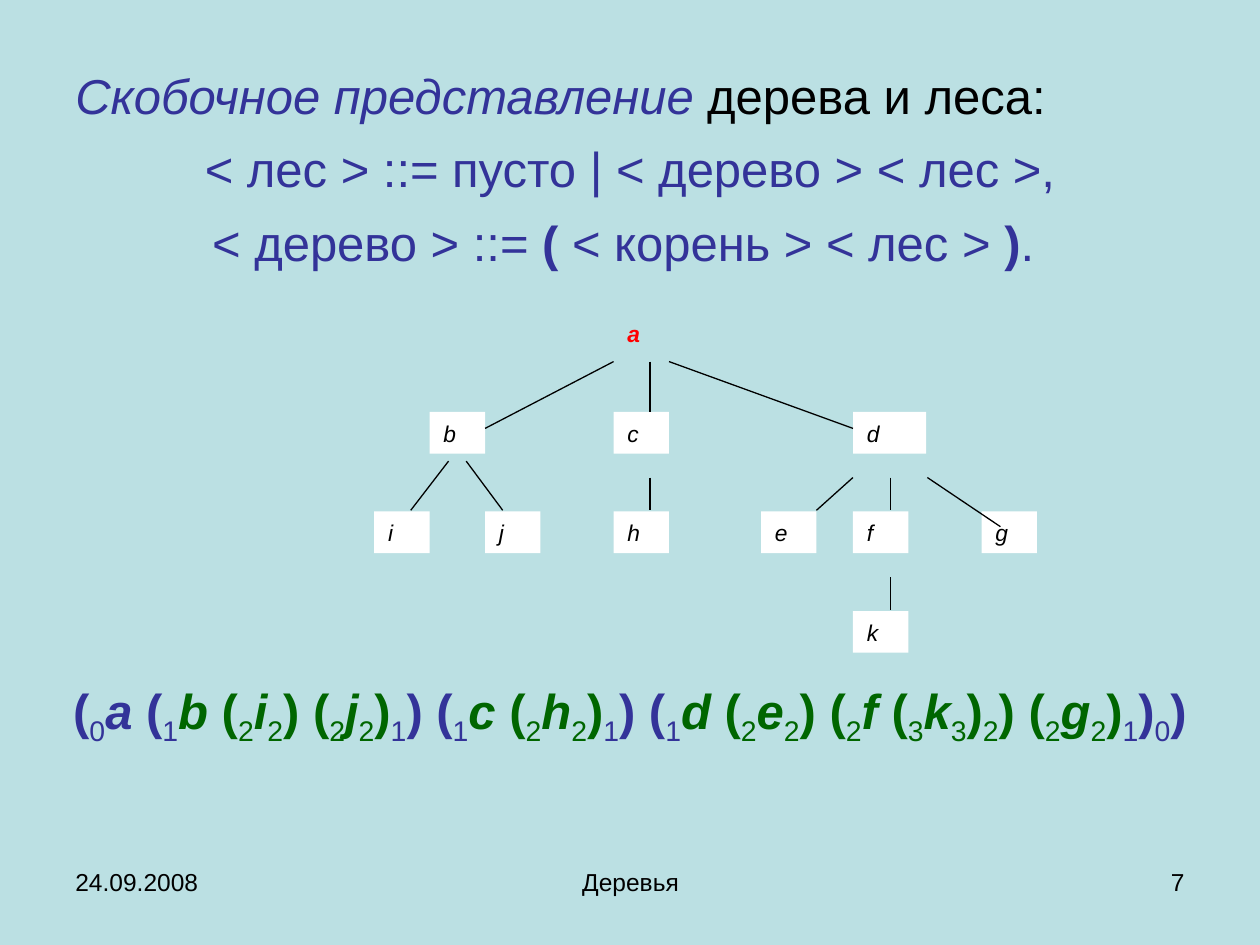
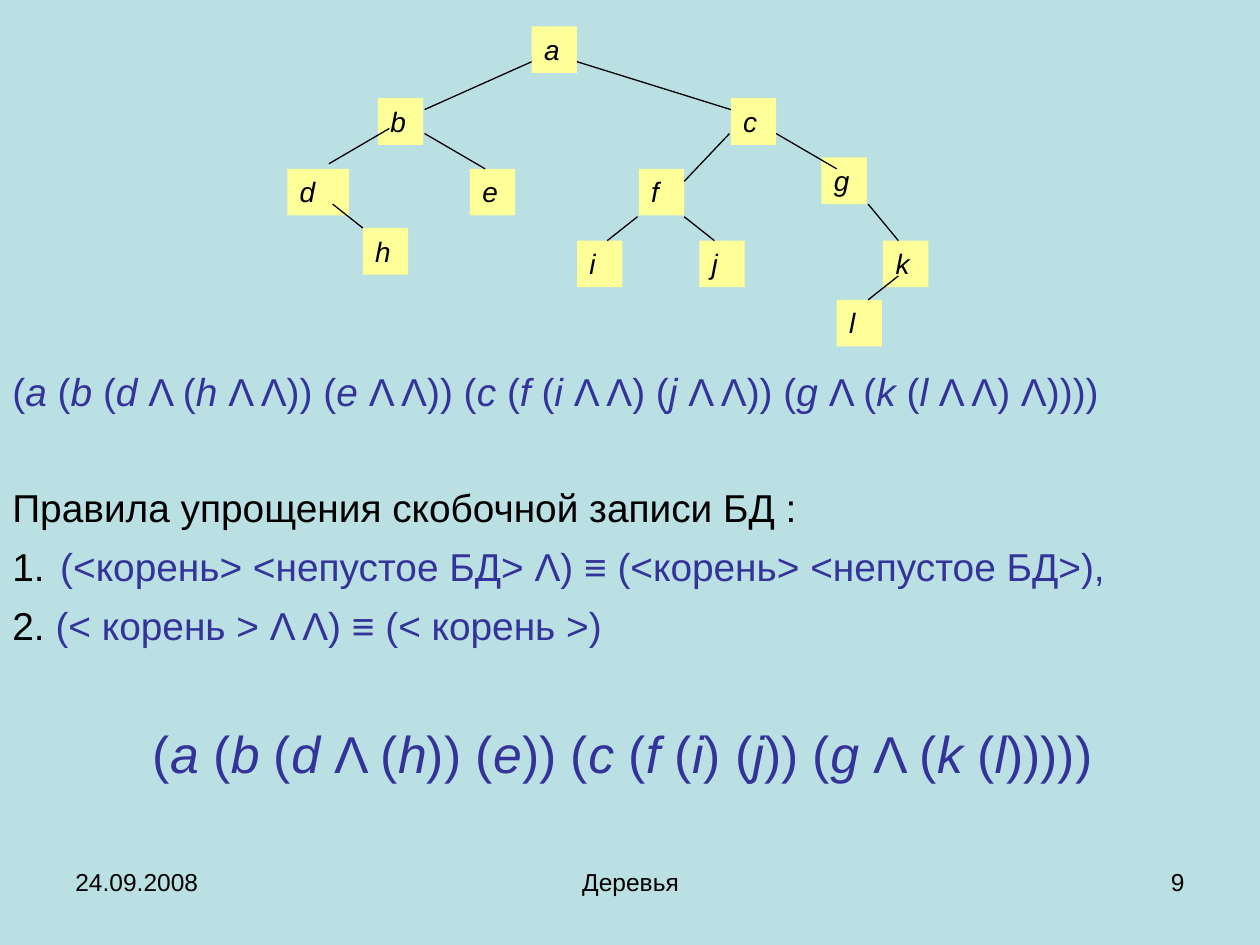
import itertools

import pptx
import pptx.dml.color
import pptx.enum.shapes
import pptx.enum.text
import pptx.oxml.ns
import pptx.util
from lxml import etree

Inches = pptx.util.Inches
Pt = pptx.util.Pt
ALIGN = pptx.enum.text.PP_ALIGN
FONT = "Arial"
COLORS = {
    "back": "BBE0E3",
    "text": "000000",
    "blue": "333399",
    "green": "006600",
    "root": "FF0000",
    "white": "FFFFFF",
    "yellow": "FFFF99",
}


def rgb(name):
    return pptx.dml.color.RGBColor.from_string(COLORS[name])


def add_run(p, text, size=14, color="text", bold=False, italic=False, sub=False):
    r = p.add_run()
    r.text = text
    r.font.name = FONT
    r.font.size = Pt(size)
    r.font.bold = bold
    r.font.italic = italic
    r.font.color.rgb = rgb(color)
    if sub:
        r._r.get_or_add_rPr().set("baseline", "-25000")


def char_kind(ch):
    if ch.isdigit():
        return "sub"
    return "name" if "a" <= ch <= "z" else "sign"


def formula(text, bold=False, **style):
    runs = []
    for kind, chars in itertools.groupby(text, char_kind):
        fmt = dict(italic=kind == "name", sub=kind == "sub", bold=bold and kind != "sub")
        runs.append(("".join(chars), {**style, **fmt}))
    return runs


class Deck:
    def __init__(self):
        self.prs = pptx.Presentation()
        self.prs.slide_width = Inches(10)
        self.prs.slide_height = Inches(7.5)
        self.s = None

    def slide(self, number):
        self.s = self.prs.slides.add_slide(self.prs.slide_layouts[6])
        self.s.background.fill.solid()
        self.s.background.fill.fore_color.rgb = rgb("back")
        footers = [
            (0.5, 2.33, "24.09.2008", ALIGN.LEFT),
            (3.42, 3.17, "Деревья", ALIGN.CENTER),
            (7.17, 2.33, str(number), ALIGN.RIGHT),
        ]
        for x, w, text, align in footers:
            tf = self.box(x, 6.83, w, 0.52)
            self.para(tf, [(text, {})], align=align)

    def box(self, x, y, w, h):
        sp = self.s.shapes.add_textbox(Inches(x), Inches(y), Inches(w), Inches(h))
        sp.text_frame.word_wrap = True
        return sp.text_frame

    def para(self, tf, runs, align=ALIGN.LEFT, before=0, number_indent=0):
        p = tf.paragraphs[0]
        if p.runs:
            p = tf.add_paragraph()
        if number_indent:
            self.number(p, number_indent)
        p.alignment = align
        p.space_before = Pt(before)
        for text, style in runs:
            add_run(p, text, **style)

    def number(self, p, indent):
        qn = pptx.oxml.ns.qn
        pPr = p._p.get_or_add_pPr()
        pPr.set("marL", str(Inches(indent)))
        pPr.set("indent", str(-Inches(indent)))
        clr = etree.SubElement(pPr, qn("a:buClr"))
        etree.SubElement(clr, qn("a:srgbClr")).set("val", COLORS["text"])
        etree.SubElement(pPr, qn("a:buFont")).set("typeface", FONT)
        etree.SubElement(pPr, qn("a:buAutoNum")).set("type", "arabicPeriod")

    def node(self, name, x, y, w, h, fill, pad, **style):
        sp = self.s.shapes.add_shape(
            pptx.enum.shapes.MSO_SHAPE.RECTANGLE, Inches(x), Inches(y), Inches(w), Inches(h))
        sp.shadow.inherit = False
        sp.fill.solid()
        sp.fill.fore_color.rgb = rgb(fill)
        sp.line.fill.background()
        tf = sp.text_frame
        tf.word_wrap = True
        tf.vertical_anchor = pptx.enum.text.MSO_ANCHOR.TOP
        tf.margin_left = tf.margin_right = Inches(pad)
        tf.margin_top = tf.margin_bottom = Inches(pad - 0.05)
        self.para(tf, [(name, dict(italic=True, **style))])

    def edge(self, x1, y1, x2, y2):
        line = self.s.shapes.add_connector(
            pptx.enum.shapes.MSO_CONNECTOR.STRAIGHT,
            Inches(x1), Inches(y1), Inches(x2), Inches(y2))
        line.line.color.rgb = rgb("text")
        line.line.width = Pt(0.75)
        etree.SubElement(line._element.spPr, pptx.oxml.ns.qn("a:effectLst"))


def forest_slide(deck):
    deck.slide(7)
    blue = dict(size=28, color="blue")
    strong = dict(blue, bold=True)
    tf = deck.box(0.5, 0.47, 9, 1.81)
    deck.para(tf, [("Скобочное представление", dict(blue, italic=True)),
                   (" дерева и леса:", dict(size=28))])
    deck.para(tf, [("< лес > ::= пусто | < дерево > < лес >,", blue)],
              align=ALIGN.CENTER, before=8.4)
    deck.para(tf, [("< дерево > ::= ", blue), ("(", strong),
                   (" < корень > < лес > ", blue), (")", strong), (". ", blue)],
              align=ALIGN.CENTER, before=8.4)

    parts = [
        ("(0a (1", "blue"), ("b (2i2) (2j2)", "green"),
        ("1) (1", "blue"), ("c (2h2)", "green"),
        ("1) (1", "blue"), ("d (2e2) (2f (3k3)2) (2g2)", "green"),
        ("1)0)", "blue"),
    ]
    runs = []
    for text, color in parts:
        runs += formula(text, bold=True, size=28, color=color)
    tf = deck.box(0, 5.35, 10, 0.63)
    deck.para(tf, runs, align=ALIGN.CENTER)

    levels = [
        {"a": 4.87},
        {"b": 3.41, "c": 4.87, "d": 6.77},
        {"i": 2.97, "j": 3.85, "h": 4.87, "e": 6.04, "f": 6.77, "g": 7.79},
        {"k": 6.77},
    ]
    for depth, level in enumerate(levels):
        for name, x in level.items():
            fill, style = "white", {}
            if name == "a":
                fill, style = "back", dict(color="root", bold=True)
            deck.node(name, x, 2.48 + 0.79 * depth, 0.58 if name == "d" else 0.44, 0.33,
                      fill, 0.11, size=13, **style)
    edges = [
        (4.87, 2.87, 3.85, 3.4), (5.16, 2.87, 5.16, 3.27), (5.31, 2.87, 6.77, 3.4),
        (3.56, 3.66, 3.26, 4.05), (3.7, 3.66, 3.99, 4.05), (5.16, 3.79, 5.16, 4.05),
        (6.77, 3.79, 6.48, 4.05), (7.07, 3.79, 7.07, 4.05), (7.36, 3.79, 7.94, 4.18),
        (7.07, 4.58, 7.07, 4.84),
    ]
    for ends in edges:
        deck.edge(*ends)


def binary_tree_slide(deck):
    deck.slide(9)
    size = 22.2
    blue = dict(size=size, color="blue")
    tf = deck.box(0, 2.87, 10, 3.84)
    deck.para(tf, formula(
        "(a (b (d Λ (h Λ Λ)) (e Λ Λ)) (c (f (i Λ Λ) (j Λ Λ)) (g Λ (k (l Λ Λ) Λ))))", **blue))
    deck.para(tf, [("Правила упрощения скобочной записи БД :", dict(size=size))], before=39.5)
    deck.para(tf, [("(<корень> <непустое БД> Λ) ≡ (<корень> <непустое БД>),", blue)],
              before=7, number_indent=0.38)
    deck.para(tf, [("2. ", dict(size=size)), ("(< корень > Λ Λ) ≡ (< корень >)", blue)],
              before=7)
    deck.para(tf, formula("(a (b (d Λ (h)) (e)) (c (f (i) (j)) (g Λ (k (l))))) ",
                          size=29.6, color="blue"),
              align=ALIGN.CENTER, before=42)

    nodes = {
        "a": (4.22, 0.21), "b": (3, 0.78), "c": (5.8, 0.78),
        "d": (2.28, 1.34), "e": (3.73, 1.34), "f": (5.07, 1.34), "g": (6.52, 1.25),
        "h": (2.88, 1.81), "i": (4.58, 1.91), "j": (5.55, 1.91), "k": (7.01, 1.91),
        "l": (6.64, 2.38),
    }
    for name, (x, y) in nodes.items():
        deck.node(name, x, y, 0.49 if name == "d" else 0.36, 0.37, "yellow", 0.1, size=16)
    edges = [
        (4.22, 0.49, 3.37, 0.87), (4.58, 0.49, 5.8, 0.87),
        (3.09, 1.02, 2.61, 1.3), (3.37, 1.06, 3.85, 1.34),
        (5.79, 1.06, 5.43, 1.44), (6.16, 1.06, 6.64, 1.34),
        (2.64, 1.62, 2.88, 1.81), (5.06, 1.72, 4.82, 1.91),
        (5.43, 1.72, 5.67, 1.91), (6.89, 1.62, 7.13, 1.91),
        (7.13, 2.19, 6.89, 2.38),
    ]
    for ends in edges:
        deck.edge(*ends)


def main():
    deck = Deck()
    forest_slide(deck)
    binary_tree_slide(deck)
    deck.prs.save("out.pptx")


if __name__ == "__main__":
    main()
